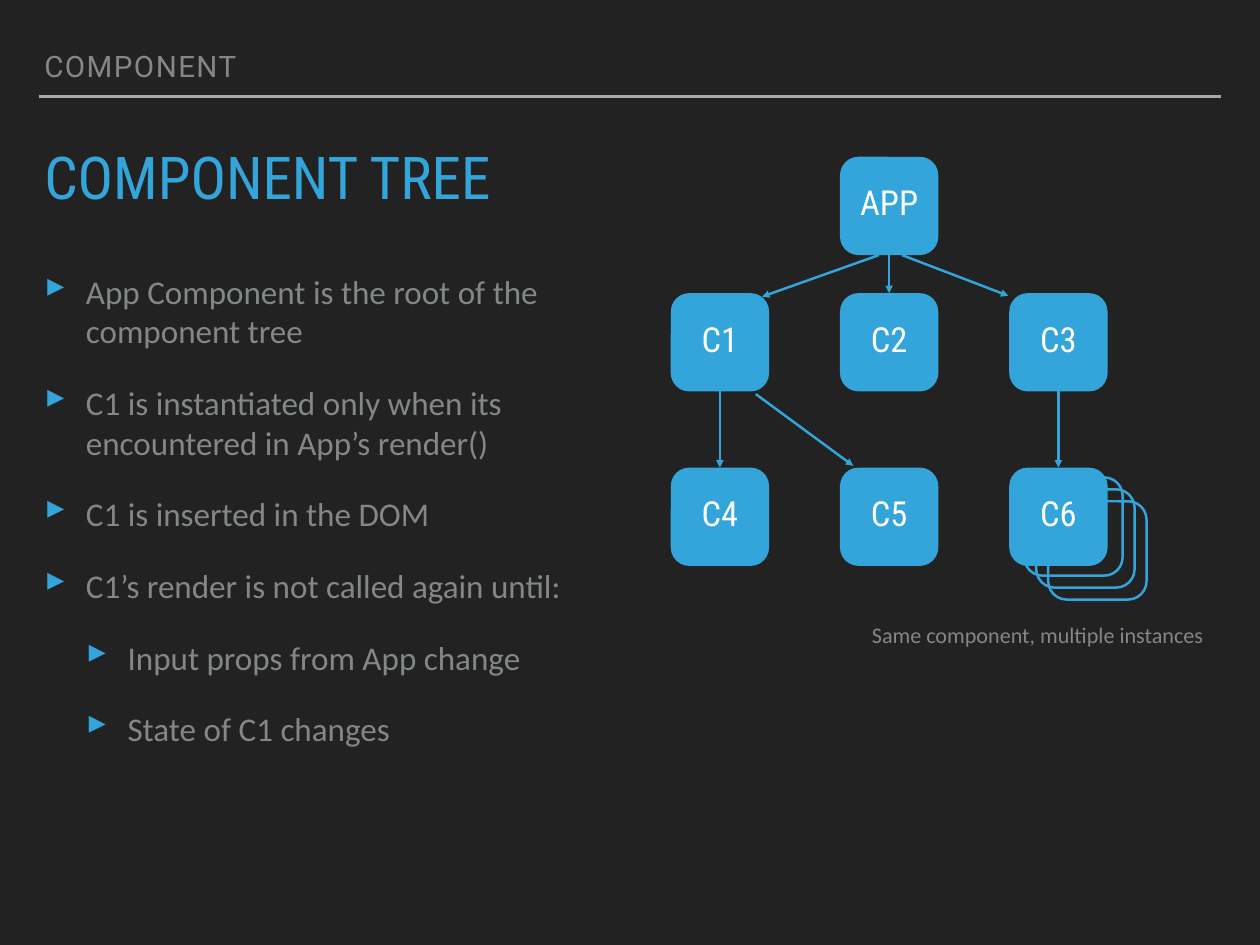
"""Build the component tree slide."""
from lxml.etree import SubElement
from pptx import Presentation
from pptx.dml.color import RGBColor
from pptx.enum.shapes import MSO_CONNECTOR, MSO_SHAPE
from pptx.enum.text import MSO_ANCHOR, PP_ALIGN
from pptx.oxml.ns import qn
from pptx.util import Inches, Pt

DARK = RGBColor(0x22, 0x22, 0x22)
BLUE = RGBColor(0x34, 0xA5, 0xDA)
GREY = RGBColor(0x83, 0x87, 0x87)
RULE = RGBColor(0xA6, 0xAA, 0xA9)
WHITE = RGBColor(0xFF, 0xFF, 0xFF)

MARGIN = 0.44
INDENT = 0.47
NODE = 1.11
COL_LEFT, COL_STEP = 7.57, 1.91
ROW_TOPS = (1.77, 3.31, 5.28)
CARD_STEP = 0.135

NODES = {
    "APP": (1, 0),
    "C1": (0, 1), "C2": (1, 1), "C3": (2, 1),
    "C4": (0, 2), "C5": (1, 2), "C6": (2, 2),
}
STRAIGHT_LINKS = (("APP", "C2"), ("C1", "C4"), ("C3", "C6"))
SLANTED_LINKS = (
    (9.92, 2.88, 8.6, 3.35),
    (10.18, 2.88, 11.38, 3.34),
    (8.53, 4.45, 9.63, 5.26),
)
BULLETS = (
    ("App Component is the root of the component tree", 0),
    ("C1 is instantiated only when its encountered in App’s render()", 0),
    ("C1 is inserted in the DOM", 0),
    ("C1’s render is not called again until:", 0),
    ("Input props from App change", 1),
    ("State of C1 changes", 1),
)


def set_frame(tf, anchor):
    """Give a text frame its insets, wrapping and anchor."""
    tf.word_wrap = True
    tf.vertical_anchor = anchor
    tf.margin_left = tf.margin_right = Inches(0.06)
    tf.margin_top = tf.margin_bottom = Inches(0.06)


def style_text(p, font, size, color):
    """Format every run of a paragraph."""
    for r in p.runs:
        r.font.name = font
        r.font.size = Pt(size)
        r.font.color.rgb = color


def add_text(s, box, text, font, size, color, anchor=MSO_ANCHOR.TOP, spacing=None):
    """Add a one-paragraph text box and return its paragraph."""
    tf = s.shapes.add_textbox(*map(Inches, box)).text_frame
    set_frame(tf, anchor)
    p = tf.paragraphs[0]
    p.text = text
    p.line_spacing = spacing
    style_text(p, font, size, color)
    return p


def add_bullets(s, box):
    """Add the bulleted list on the left."""
    tf = s.shapes.add_textbox(*map(Inches, box)).text_frame
    set_frame(tf, MSO_ANCHOR.TOP)
    for i, (text, level) in enumerate(BULLETS):
        p = tf.add_paragraph() if i else tf.paragraphs[0]
        p.text = text
        p.level = level
        p.space_before = Pt(26)
        style_text(p, "Calibri", 26.9, GREY)
        pPr = p._p.get_or_add_pPr()
        pPr.set("marL", str(Inches(INDENT * (level + 1))))
        pPr.set("indent", str(-Inches(INDENT)))
        SubElement(SubElement(pPr, qn("a:buClr")), qn("a:srgbClr"), val=str(BLUE))
        SubElement(pPr, qn("a:buSzPct"), val="105000")
        SubElement(pPr, qn("a:buChar"), char="▸")


def add_card(s, left, top):
    """Add an unfilled rounded square with a blue outline."""
    sp = s.shapes.add_shape(MSO_SHAPE.ROUNDED_RECTANGLE,
                            *map(Inches, (left, top, NODE, NODE)))
    sp.adjustments[0] = 0.188
    sp.shadow.inherit = False
    sp.fill.background()
    sp.line.color.rgb = BLUE
    sp.line.width = Pt(2)
    return sp


def add_node(s, name, col, row):
    """Add a filled, labelled node at a grid position."""
    sp = add_card(s, COL_LEFT + col * COL_STEP, ROW_TOPS[row])
    sp.fill.solid()
    sp.fill.fore_color.rgb = BLUE
    sp.line.fill.background()
    set_frame(sp.text_frame, MSO_ANCHOR.MIDDLE)
    p = sp.text_frame.paragraphs[0]
    p.text = name
    p.alignment = PP_ALIGN.CENTER
    p.line_spacing = 0.8
    style_text(p, "Roboto Condensed", 28, WHITE)
    return sp


def add_line(s, ends, color, arrow=True):
    """Add a straight line, with an arrowhead at its end if wanted."""
    line = s.shapes.add_connector(MSO_CONNECTOR.STRAIGHT, *map(Inches, ends))
    line.line.color.rgb = color
    line.line.width = Pt(2)
    if arrow:
        SubElement(line.line._get_or_add_ln(), qn("a:tailEnd"), type="triangle")
    SubElement(line._element.spPr, qn("a:effectLst"))
    return line


def add_tree(s):
    """Add the stacked cards, the nodes and the arrows between them."""
    for n in (2, 1, 0):
        add_card(s, 11.56 + n * CARD_STEP, 5.39 + n * CARD_STEP)
    nodes = {name: add_node(s, name, *cell) for name, cell in NODES.items()}
    for parent, child in STRAIGHT_LINKS:
        link = add_line(s, (0, 0, 0, 0), BLUE)
        link.begin_connect(nodes[parent], 2)
        link.end_connect(nodes[child], 0)
    for ends in SLANTED_LINKS:
        add_line(s, ends, BLUE)


def main():
    """Build and save the slide."""
    prs = Presentation()
    prs.slide_width, prs.slide_height = Inches(14.22), Inches(10.67)
    s = prs.slides.add_slide(prs.slide_layouts[6])
    s.background.fill.solid()
    s.background.fill.fore_color.rgb = DARK

    add_line(s, (MARGIN, 1.09, 14.22 - MARGIN, 1.09), RULE, arrow=False)
    header = add_text(s, (MARGIN, 0.5, 12.22, 0.5), "COMPONENT", "Roboto", 24, GREY,
                      MSO_ANCHOR.BOTTOM, 0.8)
    header.runs[0].font._element.set("spc", "120")
    add_text(s, (MARGIN, 1.68, 6.89, 0.79), "COMPONENT TREE", "Roboto Condensed", 48,
             BLUE, spacing=0.8)
    add_bullets(s, (MARGIN, 3, 6.14, 6.68))
    add_tree(s)
    add_text(s, (9.78, 6.94, 4.35, 0.46), "Same component, multiple instances",
             "Calibri", 18, GREY, MSO_ANCHOR.MIDDLE)
    prs.save("out.pptx")


if __name__ == "__main__":
    main()
